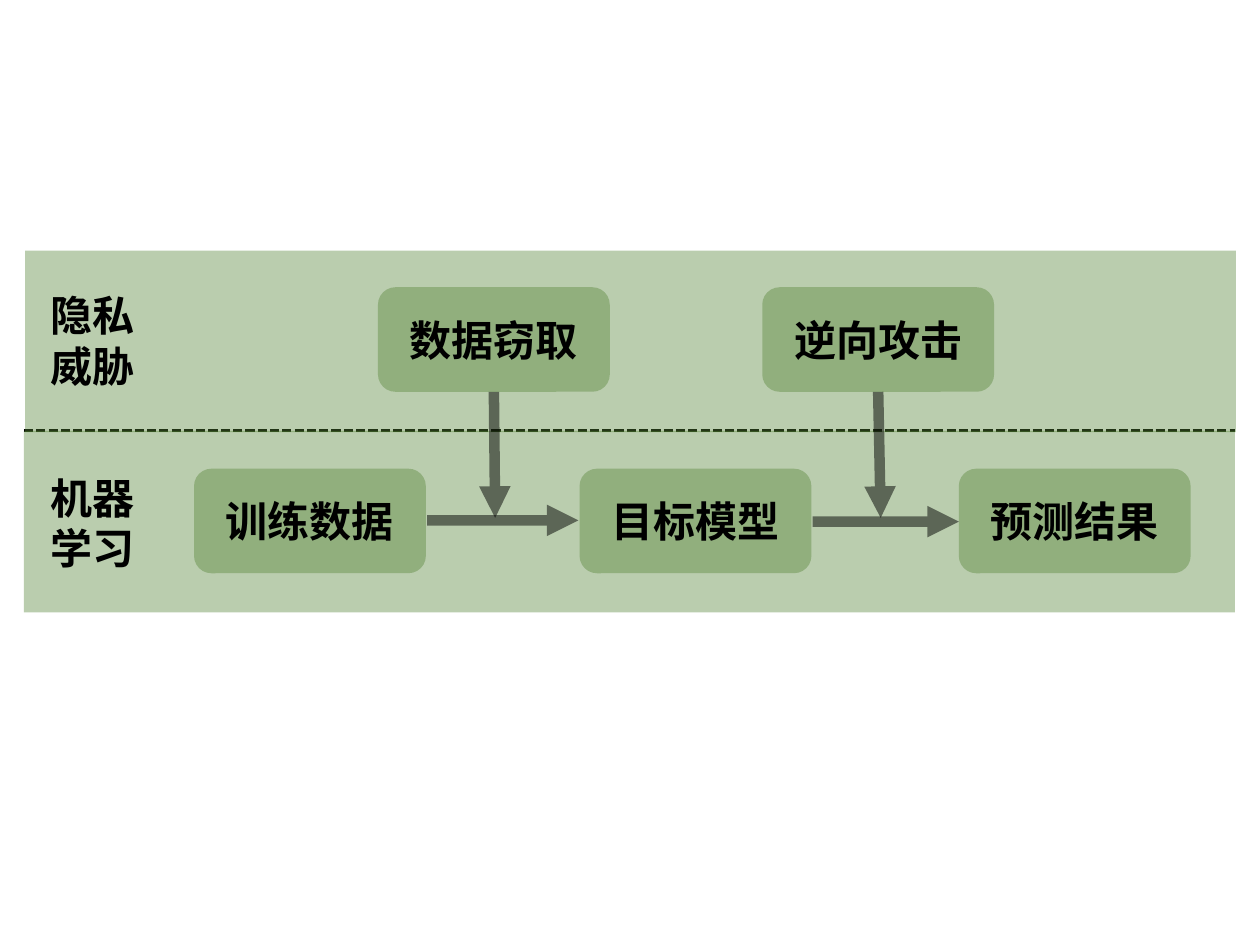
import pptx
import pptx.dml.color
import pptx.enum.dml
import pptx.enum.shapes
import pptx.enum.text
import pptx.oxml.ns
import pptx.util
from dataclasses import dataclass
from lxml import etree

Inches = pptx.util.Inches
Shapes = pptx.enum.shapes.MSO_SHAPE
Align = pptx.enum.text.PP_ALIGN
Dash = pptx.enum.dml.MSO_LINE
qn = pptx.oxml.ns.qn


@dataclass(frozen=True)
class Theme:
    green: str = "548235"
    black: str = "000000"
    font: str = "Times New Roman"
    text_size: float = 24
    divider_width: float = 1.75
    arrow_width: float = 6
    fill_opacity: int = 40
    arrow_opacity: int = 50


class Diagram:
    def __init__(self, slide, theme):
        self.slide = slide
        self.theme = theme

    def paint(self, fill, color, opacity=100):
        fill.solid()
        fill.fore_color.rgb = pptx.dml.color.RGBColor.from_string(color)
        if opacity < 100:
            color_element = fill._xPr.find(".//" + qn("a:srgbClr"))
            alpha = etree.SubElement(color_element, qn("a:alpha"))
            alpha.set("val", str(opacity * 1000))

    def add_text(self, shape, text, alignment):
        shape.text_frame.word_wrap = True
        paragraph = shape.text_frame.paragraphs[0]
        paragraph.alignment = alignment
        run = paragraph.add_run()
        run.text = text
        run.font.name = self.theme.font
        run.font.size = pptx.util.Pt(self.theme.text_size)
        run.font.bold = True
        self.paint(run.font.fill, self.theme.black)

    def panel(self, kind, left, top, width, height):
        shape = self.slide.shapes.add_shape(
            kind, Inches(left), Inches(top), Inches(width), Inches(height))
        shape.shadow.inherit = False
        shape.line.fill.background()
        self.paint(shape.fill, self.theme.green, self.theme.fill_opacity)
        return shape

    def box(self, text, left, top):
        shape = self.panel(Shapes.ROUNDED_RECTANGLE, left, top, 1.84, 0.83)
        shape.text_frame.vertical_anchor = pptx.enum.text.MSO_ANCHOR.MIDDLE
        self.add_text(shape, text, Align.CENTER)

    def label(self, text, left, top):
        shape = self.slide.shapes.add_textbox(
            Inches(left), Inches(top), Inches(0.99), Inches(0.91))
        shape.text_frame.auto_size = pptx.enum.text.MSO_AUTO_SIZE.SHAPE_TO_FIT_TEXT
        self.add_text(shape, text, Align.LEFT)

    def line(self, start, end, width, dash, opacity=100):
        connector = self.slide.shapes.add_connector(
            pptx.enum.shapes.MSO_CONNECTOR.STRAIGHT,
            *(Inches(value) for value in (*start, *end)))
        connector.line.width = pptx.util.Pt(width)
        self.paint(connector.line.fill, self.theme.black, opacity)
        connector.line.dash_style = dash
        etree.SubElement(connector._element.spPr, qn("a:effectLst"))
        return connector

    def divider(self, start, end):
        self.line(start, end, self.theme.divider_width, Dash.SQUARE_DOT)

    def arrow(self, start, end):
        connector = self.line(start, end, self.theme.arrow_width, Dash.SOLID,
                              self.theme.arrow_opacity)
        outline = connector._element.spPr.find(qn("a:ln"))
        head = etree.SubElement(outline, qn("a:tailEnd"))
        head.set("type", "triangle")


def main():
    presentation = pptx.Presentation()
    presentation.slide_width = Inches(10)
    presentation.slide_height = Inches(7.5)
    slide = presentation.slides.add_slide(presentation.slide_layouts[6])
    diagram = Diagram(slide, Theme())

    # Divider behind the two bands
    diagram.divider((0.19, 3.42), (9.8, 3.42))
    for left, top in ((0.19, 3.42), (0.2, 1.99)):
        diagram.panel(Shapes.RECTANGLE, left, top, 9.61, 1.44)

    # Each row: label, its top, top of the boxes, boxes with their left edges
    rows = (
        ("隐私威胁", 2.25, 2.28, (("数据窃取", 3), ("逆向攻击", 6.05))),
        ("机器学习", 3.7, 3.72,
         (("训练数据", 1.54), ("目标模型", 4.6), ("预测结果", 7.61))),
    )
    for label, label_top, box_top, boxes in rows:
        diagram.label(label, 0.3, label_top)
        for text, left in boxes:
            diagram.box(text, left, box_top)

    # Learning flow, then the threats that strike it
    for start, end in (
        ((3.39, 4.13), (4.59, 4.13)),
        ((6.45, 4.14), (7.61, 4.14)),
        ((3.92, 3.11), (3.93, 4.11)),
        ((6.97, 3.11), (6.99, 4.11)),
    ):
        diagram.arrow(start, end)

    presentation.save("out.pptx")


if __name__ == "__main__":
    main()
